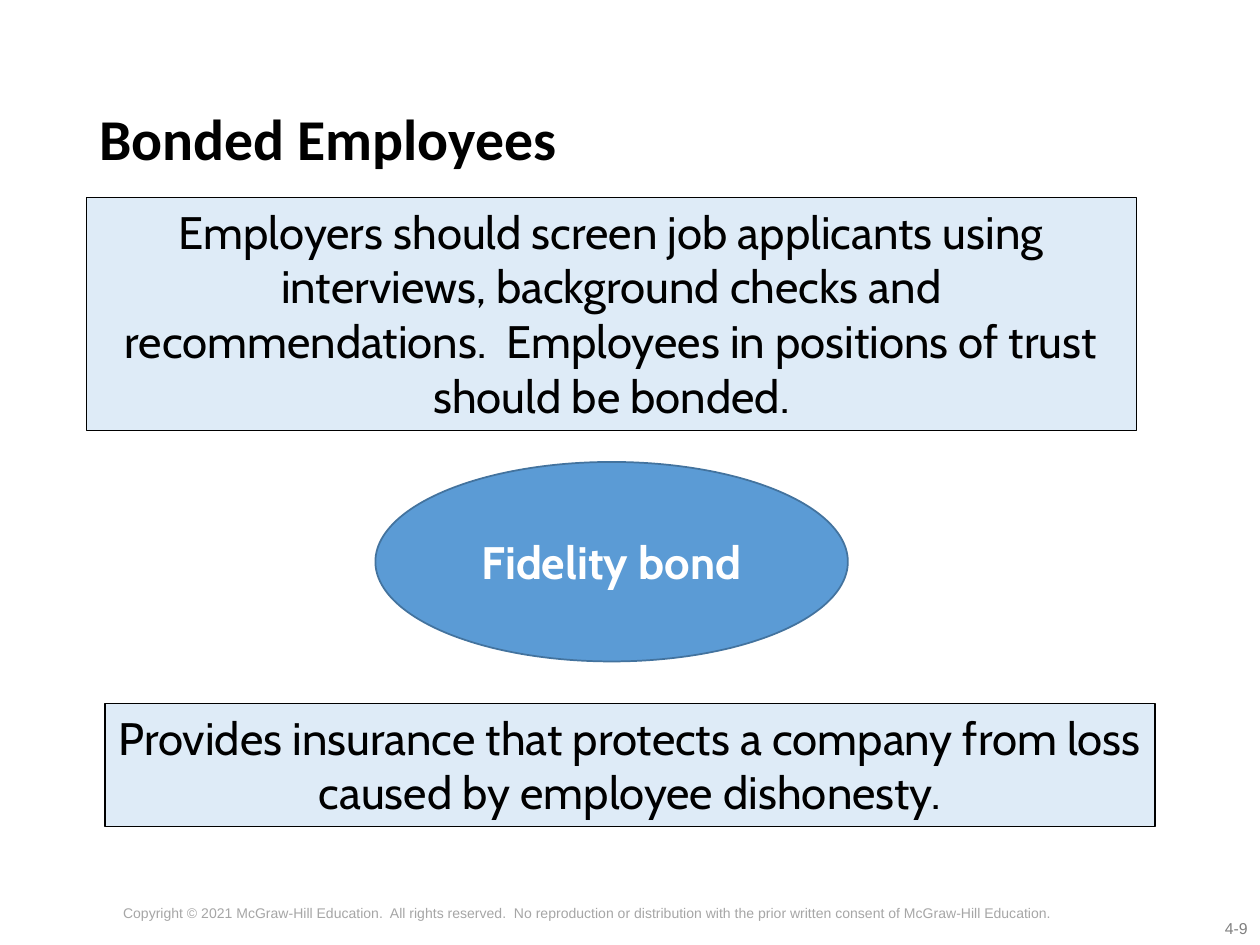
"""Builds the Bonded Employees slide."""
from dataclasses import dataclass

from pptx import Presentation
from pptx.dml.color import RGBColor
from pptx.enum.shapes import MSO_SHAPE
from pptx.enum.text import MSO_ANCHOR, MSO_AUTO_SIZE, PP_ALIGN
from pptx.util import Pt

RECTANGLE, ELLIPSE = MSO_SHAPE.RECTANGLE, MSO_SHAPE.OVAL
LEFT, CENTER, RIGHT = PP_ALIGN.LEFT, PP_ALIGN.CENTER, PP_ALIGN.RIGHT
TOP, MIDDLE = MSO_ANCHOR.TOP, MSO_ANCHOR.MIDDLE
NO_AUTOFIT = MSO_AUTO_SIZE.NONE
TITLE_ONLY = 5


@dataclass(frozen=True)
class Theme:
    """Colours, fonts and type sizes of the slide."""
    ink: str = "000000"
    white: str = "FFFFFF"
    panel: str = "DEEBF7"
    accent: str = "5B9BD5"
    accent_edge: str = "43739E"
    number: str = "808080"
    copyright: str = "A6A6A6"
    title_font: str = "Calibri"
    body_font: str = "Cabin"
    footer_font: str = "Arial"
    title_size: float = 33
    body_size: float = 26
    number_size: float = 9
    copyright_size: float = 8


class SlideBuilder:
    """Draws styled elements on the current slide."""

    def __init__(self, slide, theme):
        self.slide = slide
        self.theme = theme

    def set_text(self, frame, text, font, size, color, align=CENTER, anchor=TOP, bold=False):
        """Fill a text frame with one styled paragraph."""
        frame.text = text
        frame.word_wrap = True
        frame.auto_size = NO_AUTOFIT
        frame.vertical_anchor = anchor
        paragraph = frame.paragraphs[0]
        paragraph.alignment = align
        paragraph.font.name = font
        paragraph.font.size = Pt(size)
        paragraph.font.bold = bold
        paragraph.font.color.rgb = RGBColor.from_string(color)
        return paragraph

    def title(self, text, left, top, width, height):
        """Place and format the title placeholder."""
        heading = self.slide.shapes.title
        heading.left, heading.top = Pt(left), Pt(top)
        heading.width, heading.height = Pt(width), Pt(height)
        theme = self.theme
        paragraph = self.set_text(heading.text_frame, text, theme.title_font, theme.title_size,
                                  theme.ink, LEFT, MIDDLE, True)
        paragraph.line_spacing = 0.9

    def footer(self, text, left, top, width, height, size, color, align):
        """Add a small footer text box."""
        box = self.slide.shapes.add_textbox(Pt(left), Pt(top), Pt(width), Pt(height))
        self.set_text(box.text_frame, text, self.theme.footer_font, size, color, align)

    def shape(self, kind, left, top, width, height, fill, edge, edge_width):
        """Add a filled and outlined preset shape without shadow."""
        body = self.slide.shapes.add_shape(kind, Pt(left), Pt(top), Pt(width), Pt(height))
        body.shadow.inherit = False
        body.fill.solid()
        body.fill.fore_color.rgb = RGBColor.from_string(fill)
        body.line.color.rgb = RGBColor.from_string(edge)
        body.line.width = Pt(edge_width)
        return body.text_frame

    def panel(self, text, left, top, height):
        """Add a pale statement panel."""
        theme = self.theme
        frame = self.shape(RECTANGLE, left, top, 600, height, theme.panel, theme.ink, 0.75)
        self.set_text(frame, text, theme.body_font, theme.body_size, theme.ink)

    def key_term(self, text, left, top, width, height):
        """Add the ellipse that names the key term."""
        theme = self.theme
        frame = self.shape(ELLIPSE, left, top, width, height, theme.accent, theme.accent_edge, 1)
        self.set_text(frame, text, theme.body_font, theme.body_size, theme.white,
                      anchor=MIDDLE, bold=True)


def main():
    """Build and save the presentation."""
    deck = Presentation()
    deck.slide_width, deck.slide_height = Pt(720), Pt(540)
    theme = Theme()
    builder = SlideBuilder(deck.slides.add_slide(deck.slide_layouts[TITLE_ONLY]), theme)

    builder.footer("4-9", 633, 521.5, 87, 18, theme.number_size, theme.number, RIGHT)
    builder.footer("Copyright © 2021 McGraw-Hill Education.  All rights reserved.  "
                   "No reproduction or distribution with the prior written consent "
                   "of McGraw-Hill Education.",
                   0, 513.5, 672, 26.5, theme.copyright_size, theme.copyright, CENTER)
    builder.title("Bonded Employees", 49.5, 28.8, 621, 104.4)
    builder.panel("Provides insurance that protects a company from loss caused by "
                  "employee dishonesty.", 60, 402, 70.5)
    builder.key_term("Fidelity bond", 214.5, 264, 270, 114)
    builder.panel("Employers should screen job applicants using interviews, background "
                  "checks and recommendations.  Employees in positions of trust should "
                  "be bonded.", 49.5, 113, 133)
    deck.save("out.pptx")


if __name__ == "__main__":
    main()
